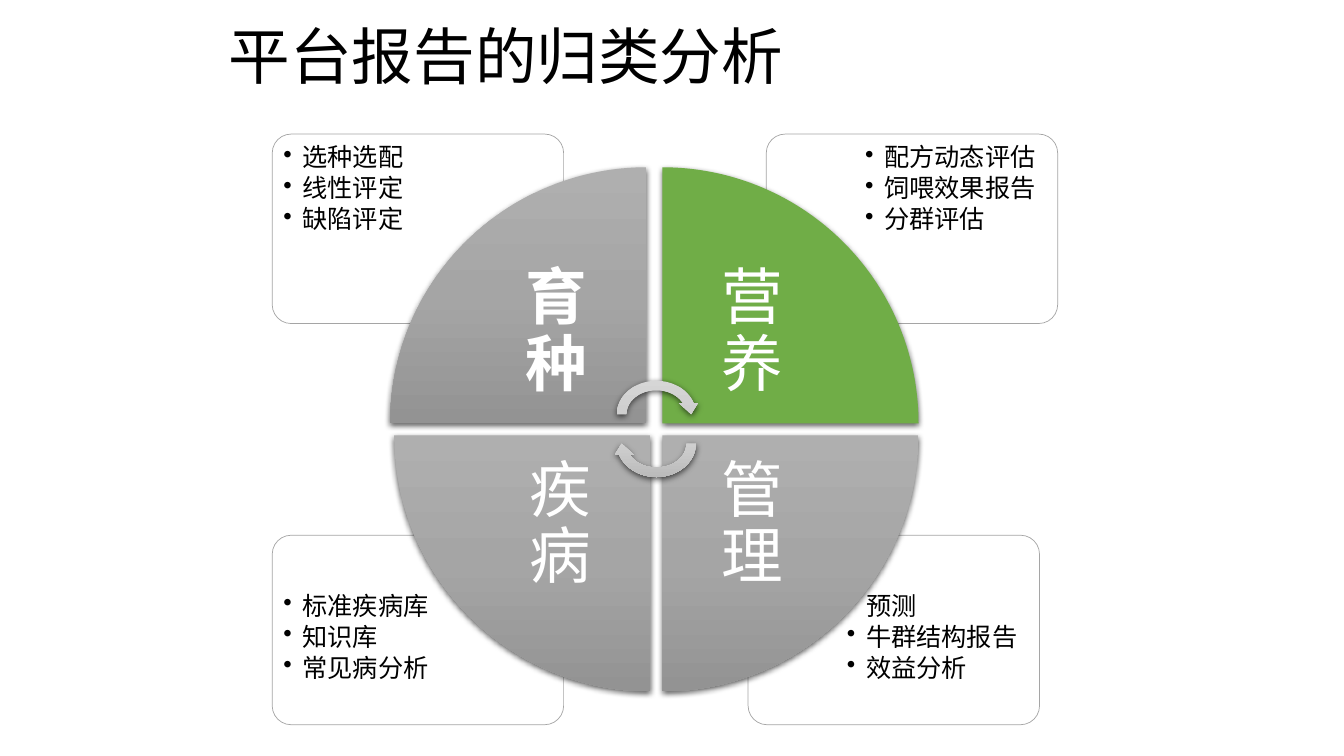
from lxml.etree import SubElement
from pptx import Presentation
from pptx.dml.color import RGBColor
from pptx.enum.shapes import MSO_SHAPE
from pptx.enum.text import MSO_ANCHOR, PP_ALIGN
from pptx.oxml import parse_xml
from pptx.oxml.ns import qn
from pptx.util import Inches, Pt

BLACK = RGBColor(0x00, 0x00, 0x00)
WHITE = RGBColor(0xFF, 0xFF, 0xFF)
GREEN = RGBColor(0x70, 0xAD, 0x47)
GRAY = RGBColor(0xA5, 0xA5, 0xA5)
WEDGE = [RGBColor(0xAF, 0xAF, 0xAF), GRAY, RGBColor(0x93, 0x93, 0x93)]
ARROW = [RGBColor(0xD6, 0xD6, 0xD6), RGBColor(0xCF, 0xCF, 0xCF),
         RGBColor(0xB8, 0xB8, 0xB8)]
SPACE = 'xmlns:a="http://schemas.openxmlformats.org/drawingml/2006/main"'

CARDS = [
    (7.42, 5.31, 0.91, 0.51, ["预测", "牛群结构报告", "效益分析"]),
    (2.7, 5.31, 0.04, 0.51, ["标准疾病库", "知识库", "常见病分析"]),
    (7.6, 1.33, 0.91, 0.04, ["配方动态评估", "饲喂效果报告", "分群评估"]),
    (2.7, 1.33, 0.04, 0.04, ["选种选配", "线性评定", "缺陷评定"]),
]
PARTS = [
    (3.87, 1.66, 0.75, 0.75, 0, WEDGE, "育种", True),
    (6.57, 1.66, 0, 0.75, 90, GREEN, "营养", False),
    (6.57, 4.32, 0, 0, 180, WEDGE, "管理", False),
    (3.91, 4.32, 0.75, 0, 270, WEDGE, "疾病", False),
]


def apply(item, form):
    for name, value in form.items():
        setattr(item, name, value)


def add_text(slide, box, lines, size, color, inset, anchor,
             align=PP_ALIGN.LEFT, bold=False):
    frame = slide.shapes.add_textbox(*map(Inches, box)).text_frame
    apply(frame, {"word_wrap": True, "vertical_anchor": anchor})
    if inset is not None:
        sides = ("left", "top", "right", "bottom")
        apply(frame, {f"margin_{side}": Inches(inset) for side in sides})
    frame.text = "\n".join(lines)
    for para in frame.paragraphs:
        apply(para, {"alignment": align, "line_spacing": 0.9})
        for run in para.runs:
            apply(run.font, {"size": Pt(size), "name": "Calibri", "bold": bold})
            run.font.color.rgb = color
    return frame


def add_shape(slide, kind, box, fill, turn=0):
    shape = slide.shapes.add_shape(kind, *map(Inches, box))
    shape.rotation = turn
    shape.shadow.inherit = False
    shape.line.fill.background()
    if isinstance(fill, RGBColor):
        shape.fill.solid()
        shape.fill.fore_color.rgb = fill
    else:
        blend(shape, fill)
    return shape


def blend(shape, colors):
    stops = "".join(
        f'<a:gs pos="{step * 50000}"><a:srgbClr val="{color}"/></a:gs>'
        for step, color in enumerate(colors))
    grad = parse_xml(f'<a:gradFill {SPACE} rotWithShape="0"><a:gsLst>{stops}'
                     '</a:gsLst><a:lin ang="5400000" scaled="0"/></a:gradFill>')
    shape._element.spPr.find(qn("a:prstGeom")).addnext(grad)


def add_shade(shape):
    shape._element.spPr.find(qn("a:effectLst")).append(parse_xml(
        f'<a:outerShdw {SPACE} blurRad="57150" dist="19050" dir="5400000" '
        'algn="ctr" rotWithShape="0"><a:srgbClr val="000000">'
        '<a:alpha val="63000"/></a:srgbClr></a:outerShdw>'))


def add_bullets(frame):
    for para in frame.paragraphs:
        para.level = 1
        props = para._p.get_or_add_pPr()
        props.set("marL", str(Inches(0.19)))
        props.set("indent", str(-Inches(0.19)))
        after = SubElement(props, qn("a:spcAft"))
        SubElement(after, qn("a:spcPct")).set("val", "15000")
        SubElement(props, qn("a:buChar")).set("char", "•")


def add_card(slide, left, top, right, down, lines):
    card = add_shape(slide, MSO_SHAPE.ROUNDED_RECTANGLE,
                     (left, top, 2.89, 1.88), WHITE)
    card.adjustments[0] = 0.1
    tint = card._element.spPr.find(qn("a:solidFill"))[0]
    SubElement(tint, qn("a:alpha")).set("val", "90000")
    card.line.color.rgb = GRAY
    card.line.width = Pt(0.5)
    box = (left + right, top + down, 1.94, 1.32)
    add_bullets(add_text(slide, box, lines, 18, BLACK, 0.07, MSO_ANCHOR.TOP))


def add_part(slide, left, top, right, down, turn, fill, label, bold):
    add_shade(add_shape(slide, MSO_SHAPE.PIE_WEDGE,
                        (left, top, 2.54, 2.54), fill, turn))
    add_text(slide, (left + right, top + down, 1.79, 1.79), [label], 44, WHITE,
             0.34, MSO_ANCHOR.MIDDLE, PP_ALIGN.CENTER, bold)


def main():
    deck = Presentation()
    apply(deck, {"slide_width": Inches(13.33), "slide_height": Inches(7.5)})
    slide = deck.slides.add_slide(deck.slide_layouts[6])
    add_text(slide, (2.17, -0.03, 9, 1.25), ["平台报告的归类分析"], 44, BLACK,
             None, MSO_ANCHOR.MIDDLE)
    for card in CARDS:
        add_card(slide, *card)
    for part in PARTS:
        add_part(slide, *part)
    for top, turn in ((3.73, 0), (4.02, 180)):
        add_shade(add_shape(slide, MSO_SHAPE.CIRCULAR_ARROW,
                            (6.07, top, 0.88, 0.76), ARROW, turn))
    deck.save("out.pptx")


main()
